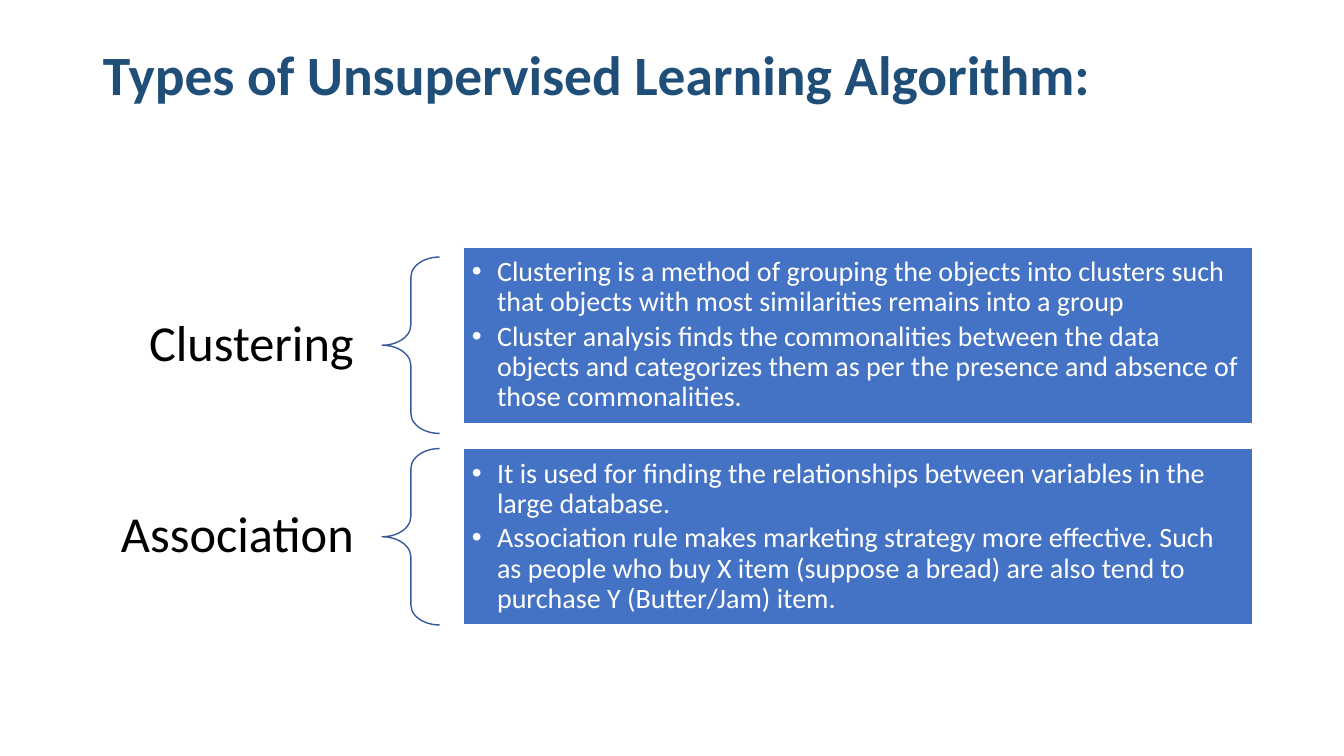
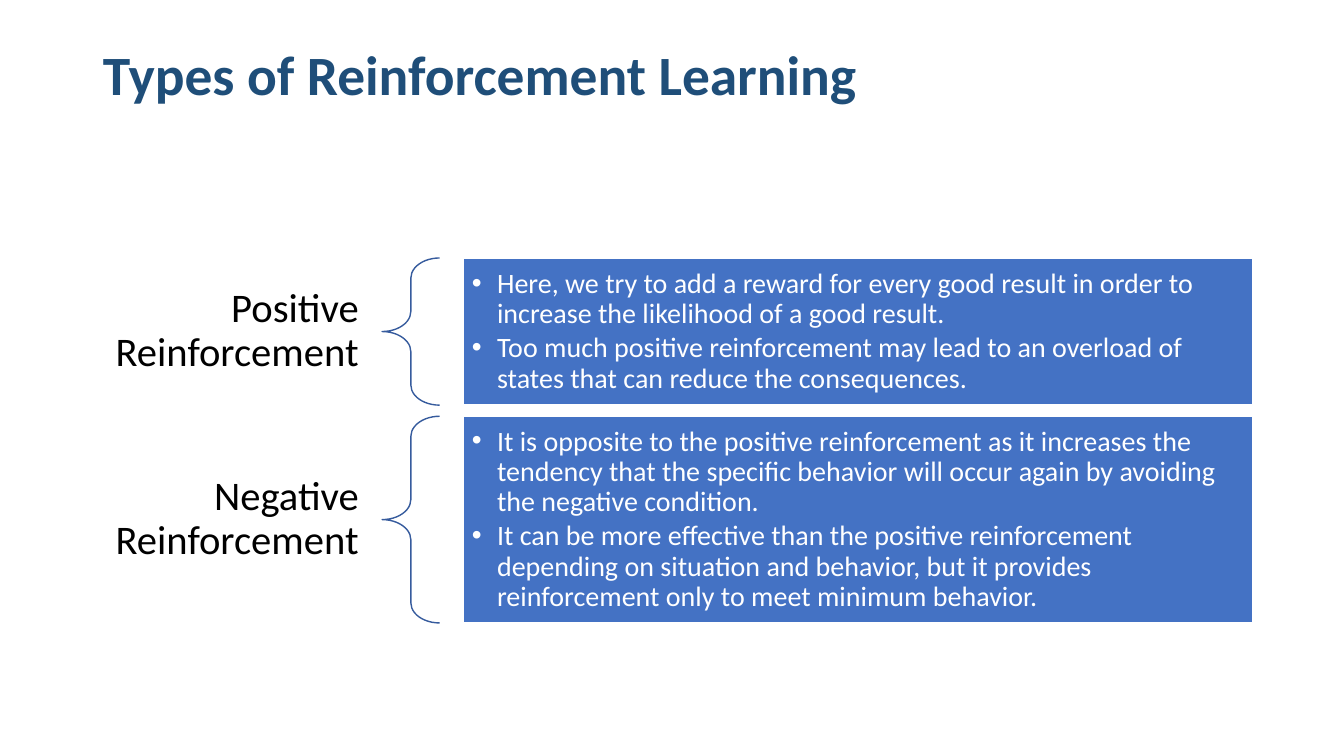
import lxml.etree
import pptx
import pptx.dml.color
import pptx.enum.shapes
import pptx.enum.text
import pptx.oxml.ns
import pptx.util

PX = 9144
FONT = "Calibri"
NAVY, BLUE, EDGE = "1F4E79", "4472C4", "365B9D"
WHITE, BLACK = "FFFFFF", "000000"
LEFT, BRACE, BODY = 92, 379, 460
KIND = pptx.enum.shapes.MSO_SHAPE
ALIGN = pptx.enum.text.PP_ALIGN

SLIDES = [
    ("Types of Unsupervised Learning Algorithm:", 36, 28, [
        ("Clustering", 255, 245, 175, [
            "Clustering is a method of grouping the objects into clusters such that objects with most similarities remains into a group",
            "Cluster analysis finds the commonalities between the data objects and categorizes them as per the presence and absence of those commonalities.",
        ]),
        ("Association", 445, 445, 175, [
            "It is used for finding the relationships between variables in the large database.",
            "Association rule makes marketing strategy more effective. Such as people who buy X item (suppose a bread) are also tend to purchase Y (Butter/Jam) item.",
        ]),
    ]),
    ("Types of Reinforcement Learning", 29, 23, [
        ("Positive Reinforcement", 256, 256, 146, [
            "Here, we try to add a reward for every good result in order to increase the likelihood of a good result.",
            "Too much positive reinforcement may lead to an overload of states that can reduce the consequences.",
        ]),
        ("Negative Reinforcement", 413, 413, 205, [
            "It is opposite to the positive reinforcement as it increases the tendency that the specific behavior will occur again by avoiding the negative condition.",
            "It can be more effective than the positive reinforcement depending on situation and behavior, but it provides reinforcement only to meet minimum behavior.",
        ]),
    ]),
]


def px(*vals):
    return [pptx.util.Emu(val * PX) for val in vals]


def color(code):
    return pptx.dml.color.RGBColor.from_string(code)


def bullet(para):
    props = para._p.get_or_add_pPr()
    props.set("marL", str(25 * PX))
    props.set("indent", str(-25 * PX))
    tag = pptx.oxml.ns.qn
    lxml.etree.SubElement(props, tag("a:buFont")).set("typeface", "Arial")
    lxml.etree.SubElement(props, tag("a:buChar")).set("char", "•")


def write(shape, lines, size, code, pads, align=ALIGN.LEFT, bold=False, dots=False):
    frame = shape.text_frame
    frame.word_wrap = True
    frame.auto_size = pptx.enum.text.MSO_AUTO_SIZE.NONE
    frame.vertical_anchor = pptx.enum.text.MSO_ANCHOR.MIDDLE
    (frame.margin_left, frame.margin_top,
     frame.margin_right, frame.margin_bottom) = px(*pads)
    frame.text = "\n".join(lines)
    for para in frame.paragraphs:
        if dots:
            bullet(para)
            para.space_after = pptx.util.Pt(3)
        para.alignment = align
        para.line_spacing = 0.9
        font = para.font
        font.name, font.size, font.bold = FONT, pptx.util.Pt(size), bold
        font.color.rgb = color(code)


def title(slide, text):
    shape = slide.shapes.title
    shape.left, shape.top, shape.width, shape.height = px(LEFT, 40, 1150, 73)
    write(shape, [text], 39.6, NAVY, (10, 5, 10, 5), bold=True)


def label(slide, text, mid, size, pad):
    high = 106
    box = slide.shapes.add_textbox(*px(LEFT, mid - high // 2, BRACE - LEFT, high))
    write(box, [text], size, BLACK, (10, 8, pad, 8), ALIGN.RIGHT)


def draw(slide, kind, place, line, fill=None):
    shape = slide.shapes.add_shape(kind, *px(*place))
    shape.shadow.inherit = False
    shape.line.color.rgb = color(line)
    shape.line.width = pptx.util.Pt(1)
    if fill:
        shape.fill.solid()
        shape.fill.fore_color.rgb = color(fill)
    else:
        shape.fill.background()
    return shape


def row(slide, size, pad, name, top, body, high, lines):
    label(slide, name, top + high // 2, size, pad)
    brace = draw(slide, KIND.LEFT_BRACE, (BRACE, top, 57, high), EDGE)
    brace.adjustments[0] = 0.35
    panel = draw(slide, KIND.RECTANGLE, (BODY, body, 782, high), WHITE, BLUE)
    write(panel, lines, 20, WHITE, (8, 8, 8, 8), dots=True)


def main():
    deck = pptx.Presentation()
    deck.slide_width, deck.slide_height = px(1333, 750)
    for head, size, pad, rows in SLIDES:
        slide = deck.slides.add_slide(deck.slide_layouts[5])
        title(slide, head)
        for item in rows:
            row(slide, size, pad, *item)
    deck.save("out.pptx")


if __name__ == "__main__":
    main()
